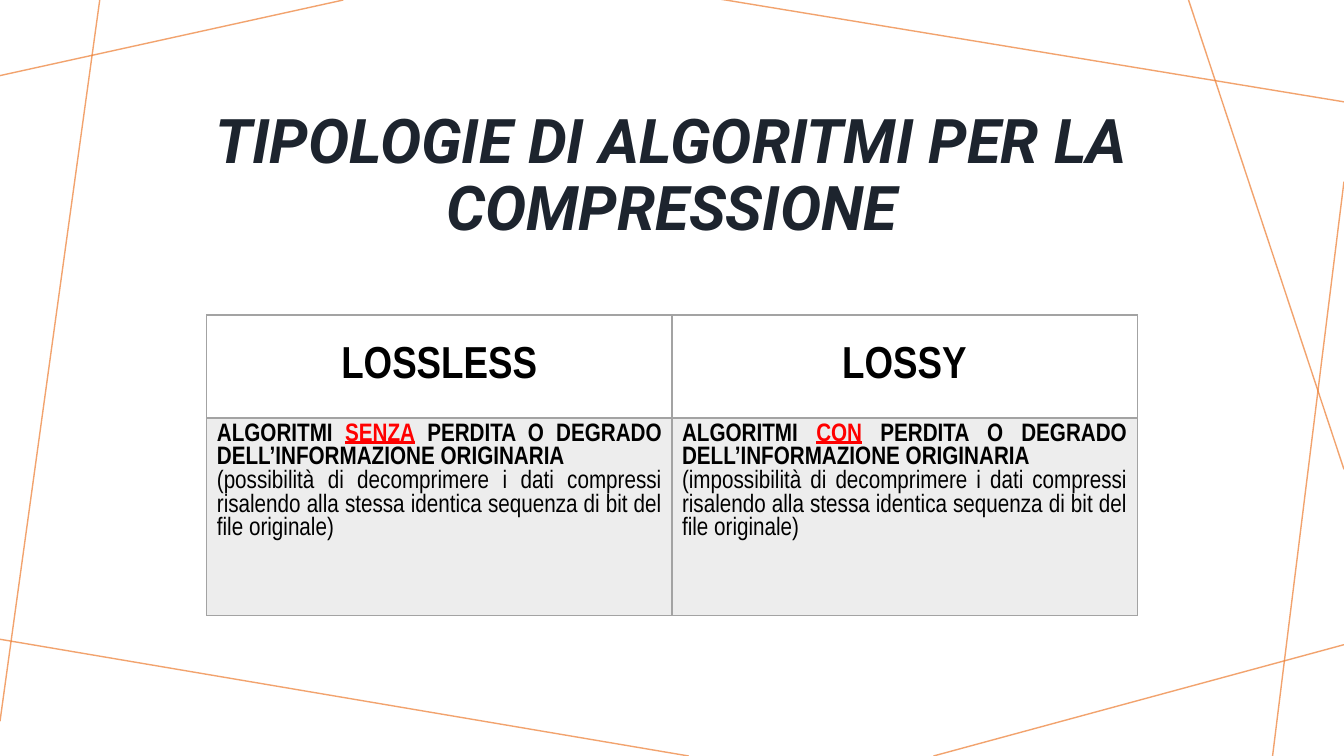
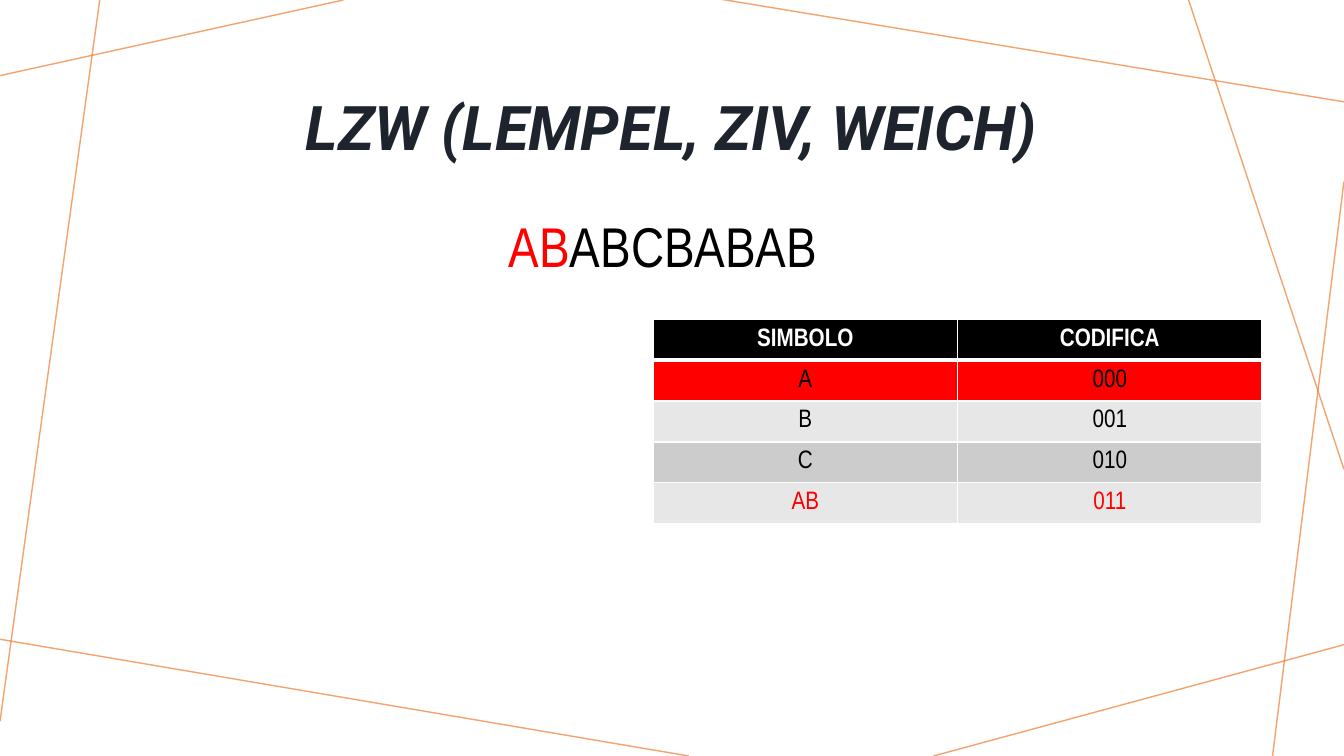
from dataclasses import dataclass
from typing import Any, NamedTuple

from lxml.etree import SubElement
from pptx import Presentation
from pptx.dml.color import RGBColor
from pptx.enum.shapes import MSO_CONNECTOR as Connector
from pptx.enum.text import MSO_ANCHOR as Anchor
from pptx.enum.text import MSO_AUTO_SIZE as AutoSize
from pptx.enum.text import PP_ALIGN as Align
from pptx.oxml import parse_xml
from pptx.oxml.ns import nsdecls, qn
from pptx.util import Emu, Pt

PX = 9525  # 96 px to the inch
PAGE_WIDTH, PAGE_HEIGHT = 1280, 720

ORANGE = RGBColor(0xED, 0x7D, 0x31)
NAVY = RGBColor(0x1D, 0x24, 0x2E)
BLACK = RGBColor(0, 0, 0)
WHITE = RGBColor(0xFF, 0xFF, 0xFF)
RED = RGBColor(0xFF, 0, 0)
GRAY = RGBColor(0xA3, 0xA3, 0xA3)
PALE = RGBColor(0xED, 0xED, 0xED)
LIGHT_BAND = RGBColor(0xE7, 0xE7, 0xE7)
DARK_BAND = RGBColor(0xCC, 0xCC, 0xCC)

Format = dict[str, Any]
BODY: Format = {"name": "Arial Narrow", "size": Pt(18), "bold": False}
BOLD: Format = BODY | {"bold": True}
HEADING: Format = BOLD | {"size": Pt(32)}
SEQUENCE: Format = BODY | {"size": Pt(40)}
TITLE: Format = {"name": "Roboto", "size": Pt(44), "bold": True, "italic": True}


class Line(NamedTuple):
    x1: int
    y1: int
    x2: int
    y2: int


class Span(NamedTuple):
    text: str
    format: Format = BODY
    color: RGBColor = BLACK


Paragraph = list[Span]


@dataclass
class CellSpec:
    paras: list[Paragraph]
    fill: RGBColor | None = None
    align: Align = Align.CENTER
    anchor: Anchor = Anchor.MIDDLE


@dataclass
class TableSpec:
    left: int
    top: int
    column_width: int
    row_heights: list[int]
    cells: list[list[CellSpec]]
    border: RGBColor
    header_rule: int


FRAME_LINES = [
    Line(327, 0, 0, 72),
    Line(95, 0, 0, 687),
    Line(656, 720, -5, 608),
    Line(1280, 614, 889, 720),
    Line(1280, 173, 1212, 720),
    Line(1280, 447, 1132, 0),
    Line(1280, 97, 685, -1),
]


def px(*lengths: int) -> list[Emu]:
    return [Emu(length * PX) for length in lengths]


def apply(target: Any, values: Format) -> None:
    for name, value in values.items():
        setattr(target, name, value)


def write_paragraph(para: Any, spans: Paragraph, **values: Any) -> None:
    apply(para, values)
    for span in spans:
        run = para.add_run()
        run.text = span.text
        apply(run.font, span.format)
        run.font.color.rgb = span.color


def add_frame(page: Any) -> None:
    """Draw the orange lines once and move them to the layout all slides share."""
    layout_tree = page.slide_layout.shapes.element
    for line in FRAME_LINES:
        connector = page.shapes.add_connector(Connector.STRAIGHT, *px(*line))
        connector.line.color.rgb = ORANGE
        connector.line.width = Pt(1)
        properties = connector.element.spPr
        color = next(properties.iter(qn("a:srgbClr")))
        SubElement(color, qn("a:alpha"), val="70000")
        SubElement(properties, qn("a:effectLst"))
        layout_tree.append(connector.element)


def set_title(page: Any, text: str, top: int) -> None:
    title = page.shapes.title
    title.left, title.top, title.width, title.height = px(120, top, 1040, 145)
    frame = title.text_frame
    apply(frame, {"word_wrap": True, "auto_size": AutoSize.NONE,
                  "vertical_anchor": Anchor.MIDDLE})
    write_paragraph(frame.paragraphs[0], [Span(text, TITLE, NAVY)],
                    alignment=Align.CENTER, line_spacing=0.9)


def set_borders(cell: Any, color: RGBColor, widths: dict[str, int]) -> None:
    """Add the four border lines, in points, ahead of the cell's fill."""
    properties = cell._tc.get_or_add_tcPr()
    for index, (side, width) in enumerate(widths.items()):
        properties.insert(index, parse_xml(
            f'<a:ln{side} {nsdecls("a")} w="{Pt(width)}"><a:solidFill>'
            f'<a:srgbClr val="{color}"/></a:solidFill></a:ln{side}>'))


def fill_cell(cell: Any, spec: CellSpec) -> None:
    cell.vertical_anchor = spec.anchor
    if spec.fill is None:
        cell.fill.background()
    else:
        cell.fill.solid()
        cell.fill.fore_color.rgb = spec.fill
    frame = cell.text_frame
    for index, spans in enumerate(spec.paras):
        para = frame.add_paragraph() if index else frame.paragraphs[0]
        write_paragraph(para, spans, alignment=spec.align)


def add_grid(page: Any, spec: TableSpec) -> None:
    columns = len(spec.cells[0])
    box = px(spec.left, spec.top, columns * spec.column_width, sum(spec.row_heights))
    table = page.shapes.add_table(len(spec.cells), columns, *box).table
    apply(table, {"first_row": False, "horz_banding": False})
    for column in table.columns:
        column.width = Emu(spec.column_width * PX)
    for r, (height, row) in enumerate(zip(spec.row_heights, spec.cells)):
        table.rows[r].height = Emu(height * PX)
        widths = {"L": 1, "R": 1,
                  "T": spec.header_rule if r == 1 else 1,
                  "B": spec.header_rule if r == 0 else 1}
        for c, cell_spec in enumerate(row):
            cell = table.cell(r, c)
            fill_cell(cell, cell_spec)
            set_borders(cell, spec.border, widths)


def heading_cell(text: str) -> CellSpec:
    return CellSpec([[Span(text, HEADING)]])


def description_cell(keyword: str, possibility: str) -> CellSpec:
    claim = [
        Span("ALGORITMI ", BOLD),
        Span(keyword, BOLD | {"underline": True}, RED),
        Span(" PERDITA O DEGRADO DELL’INFORMAZIONE ORIGINARIA", BOLD),
    ]
    detail = [Span(f"({possibility} di decomprimere i dati compressi risalendo alla "
                   "stessa identica sequenza di bit del file originale)")]
    return CellSpec([claim, detail], PALE, Align.JUSTIFY, Anchor.TOP)


def code_row(symbol: str, code: str, fill: RGBColor, color: RGBColor = BLACK,
             format: Format = BODY) -> list[CellSpec]:
    return [CellSpec([[Span(text, format, color)]], fill) for text in (symbol, code)]


def build_algorithm_types(page: Any) -> None:
    set_title(page, "TIPOLOGIE DI ALGORITMI PER LA COMPRESSIONE", 96)
    add_grid(page, TableSpec(197, 300, 443, [98, 188], [
        [heading_cell("LOSSLESS"), heading_cell("LOSSY")],
        [description_cell("SENZA", "possibilità"),
         description_cell("CON", "impossibilità")],
    ], GRAY, 2))


def build_lzw(page: Any) -> None:
    set_title(page, "LZW (LEMPEL, ZIV, WEICH)", 52)
    frame = page.shapes.add_textbox(*px(475, 197, 330, 74)).text_frame
    apply(frame, {"word_wrap": True, "auto_size": AutoSize.SHAPE_TO_FIT_TEXT})
    write_paragraph(frame.paragraphs[0],
                    [Span("AB", SEQUENCE, RED), Span("ABCBABAB", SEQUENCE)])
    rows = [
        code_row("SIMBOLO", "CODIFICA", BLACK, WHITE, BOLD),
        code_row("A", "000", RED),
        code_row("B", "001", LIGHT_BAND),
        code_row("C", "010", DARK_BAND),
        code_row("AB", "011", LIGHT_BAND, RED),
    ]
    add_grid(page, TableSpec(622, 304, 290, [39] * len(rows), rows, WHITE, 3))


def main() -> None:
    deck = Presentation()
    deck.slide_width, deck.slide_height = px(PAGE_WIDTH, PAGE_HEIGHT)
    title_only = deck.slide_layouts.get_by_name("Title Only")
    pages = [deck.slides.add_slide(title_only) for _ in range(2)]
    add_frame(pages[0])
    for build, page in zip((build_algorithm_types, build_lzw), pages):
        build(page)
    deck.save("out.pptx")


if __name__ == "__main__":
    main()
